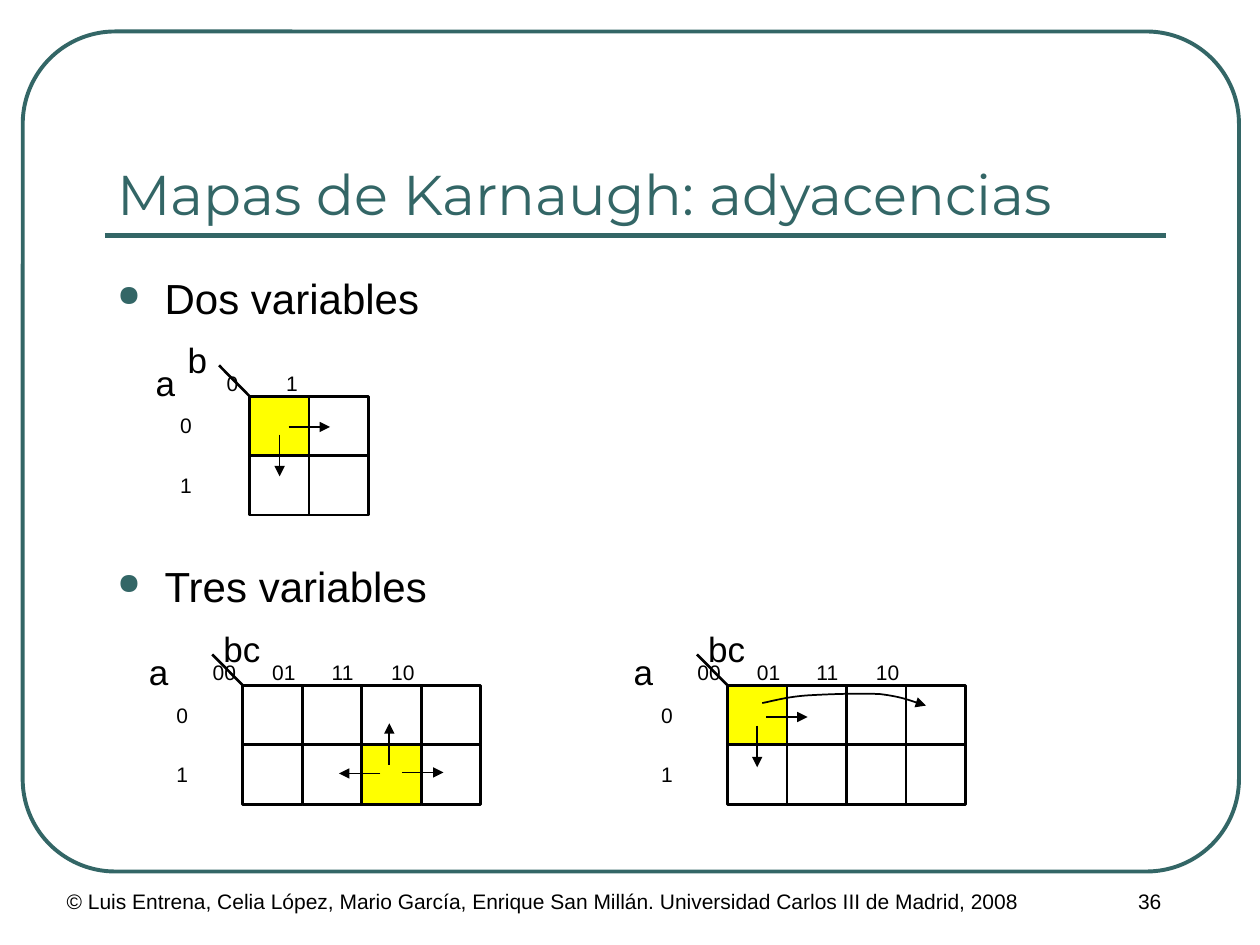
"""Build the slide on adjacencies in two- and three-variable Karnaugh maps."""
from lxml import etree
from pptx import Presentation
from pptx import util as u
from pptx.dml.color import RGBColor
from pptx.enum import shapes, text
from pptx.oxml.ns import qn

TEAL = RGBColor(0x33, 0x66, 0x66)
BLACK = RGBColor(0, 0, 0)
YELLOW = RGBColor(0xFF, 0xFF, 0)
CELL = 34
LEFT, CENTER = text.PP_ALIGN.LEFT, text.PP_ALIGN.CENTER

deck = Presentation()
deck.slide_width, deck.slide_height = u.Pt(720), u.Pt(540)
page = deck.slides.add_slide(deck.slide_layouts[6])


def write(words, left, top, width, height, size=12, font="Arial", color=BLACK,
          align=LEFT, anchor=text.MSO_ANCHOR.MIDDLE, bullet=None, gap=0):
    box = page.shapes.add_textbox(u.Pt(left), u.Pt(top), u.Pt(width), u.Pt(height))
    frame = box.text_frame
    frame.word_wrap = True
    frame.vertical_anchor = anchor
    for index, line in enumerate(words.split("\n")):
        para = frame.add_paragraph() if index else frame.paragraphs[0]
        para.alignment = align
        if index:
            para.space_before = u.Pt(gap)
        if bullet:
            props = para._p.get_or_add_pPr()
            props.set("marL", str(u.Pt(27)))
            props.set("indent", str(-u.Pt(27)))
            tint = etree.SubElement(props, qn("a:buClr"))
            etree.SubElement(tint, qn("a:srgbClr"), val=str(TEAL))
            etree.SubElement(props, qn("a:buSzPct"), val="70000")
            etree.SubElement(props, qn("a:buChar"), char=bullet)
        span = para.add_run()
        span.text = line
        span.font.size = u.Pt(size)
        span.font.name = font
        span.font.color.rgb = color


def outline(shape, width, color=BLACK, arrow=False):
    shape.line.color.rgb = color
    shape.line.width = u.Pt(width)
    if arrow:
        etree.SubElement(shape.line._get_or_add_ln(), qn("a:tailEnd"), type="triangle")
    etree.SubElement(shape._element.spPr, qn("a:effectLst"))


border = page.shapes.add_shape(shapes.MSO_SHAPE.ROUNDED_RECTANGLE,
                               u.Pt(13), u.Pt(18), u.Pt(695), u.Pt(480))
border.adjustments[0] = 0.11
border.fill.background()
outline(border, 2.25, TEAL)

write("© Luis Entrena, Celia López, Mario García, Enrique San Millán. "
      "Universidad Carlos III de Madrid, 2008", 31, 504, 612, 36,
      anchor=text.MSO_ANCHOR.TOP)
write("36", 594, 504, 126, 36, align=CENTER, anchor=text.MSO_ANCHOR.TOP)
write("Mapas de Karnaugh: adyacencias", 60, 43, 606, 90, size=32,
      font="Montserrat", color=TEAL, anchor=text.MSO_ANCHOR.BOTTOM)
write("Dos variables\nTres variables", 60, 152, 606, 346, size=24,
      anchor=text.MSO_ANCHOR.TOP, bullet="●", gap=136)

two = dict(name="b", name_left=-42.5, name_width=79, align=LEFT,
           codes=["0", "1"], code_left=-20.2, row_left=-46.8)
three = dict(name="bc", name_left=-45, name_width=89, align=CENTER,
             codes=["00", "01", "11", "10"], code_left=-24.2, row_left=-45)
strokes = [((60, 134.6), (666, 134.6), 3, TEAL, False)]

for left, top, kind, marked in [(142.6, 226.4, two, (0, 0)),
                                (138.7, 391.6, three, (1, 2)),
                                (415.7, 391.6, three, (0, 0))]:
    for row in range(2):
        for column in range(len(kind["codes"])):
            cell = page.shapes.add_shape(
                shapes.MSO_SHAPE.RECTANGLE, u.Pt(left + column * CELL),
                u.Pt(top + row * CELL), u.Pt(CELL), u.Pt(CELL))
            if (row, column) == marked:
                cell.fill.solid()
                cell.fill.fore_color.rgb = YELLOW
            else:
                cell.fill.background()
            outline(cell, 1.5)
        write(str(row), left + kind["row_left"], top + 6 + row * CELL, 75, 21.6)
    for column, code in enumerate(kind["codes"]):
        write(code, left + kind["code_left"] + column * CELL, top - 18.5, 78, 21.6)
    write("a", left - 60.7, top - 23.5, 79, 31.7, size=20)
    write(kind["name"], left + kind["name_left"], top - 37, kind["name_width"],
          31.7, size=20, align=kind["align"])
    strokes.append(((left, top), (left - 17.4, top - 17.6), 1.5, BLACK, False))

for start, end in [((159.8, 248.4), (159.8, 272.2)), ((164.9, 244), (188.6, 244)),
                   ((222.5, 437), (222.5, 413.3)), ((217.4, 442), (193.7, 442)),
                   ((229.7, 441.4), (253.4, 441.4)), ((432.7, 414.7), (432.7, 438.5)),
                   ((437.8, 409.7), (461.5, 409.7))]:
    strokes.append((start, end, 1, BLACK, True))

for start, end, width, color, arrow in strokes:
    line = page.shapes.add_connector(shapes.MSO_CONNECTOR.STRAIGHT,
                                     *[u.Pt(value) for value in start + end])
    outline(line, width, color, arrow)

wrap_points = [(435.6, 401.8), (442.8, 400.3), (450, 398.2), (461.5, 397.4),
               (473, 396.7), (492.5, 396), (503.3, 396.7), (514.8, 398.2),
               (522, 401), (529.2, 403.2)]
builder = page.shapes.build_freeform(*[u.Pt(v) for v in wrap_points[0]])
builder.add_line_segments([(u.Pt(x), u.Pt(y)) for x, y in wrap_points[1:]], close=False)
wrap_arrow = builder.convert_to_shape()
wrap_arrow.fill.background()
outline(wrap_arrow, 1, arrow=True)
route = wrap_arrow._element.find(".//" + qn("a:path"))
steps = route.findall(qn("a:lnTo"))
for first in range(0, len(steps), 3):
    curve = etree.SubElement(route, qn("a:cubicBezTo"))
    for step in steps[first:first + 3]:
        curve.append(step[0])
        route.remove(step)

deck.save("out.pptx")
